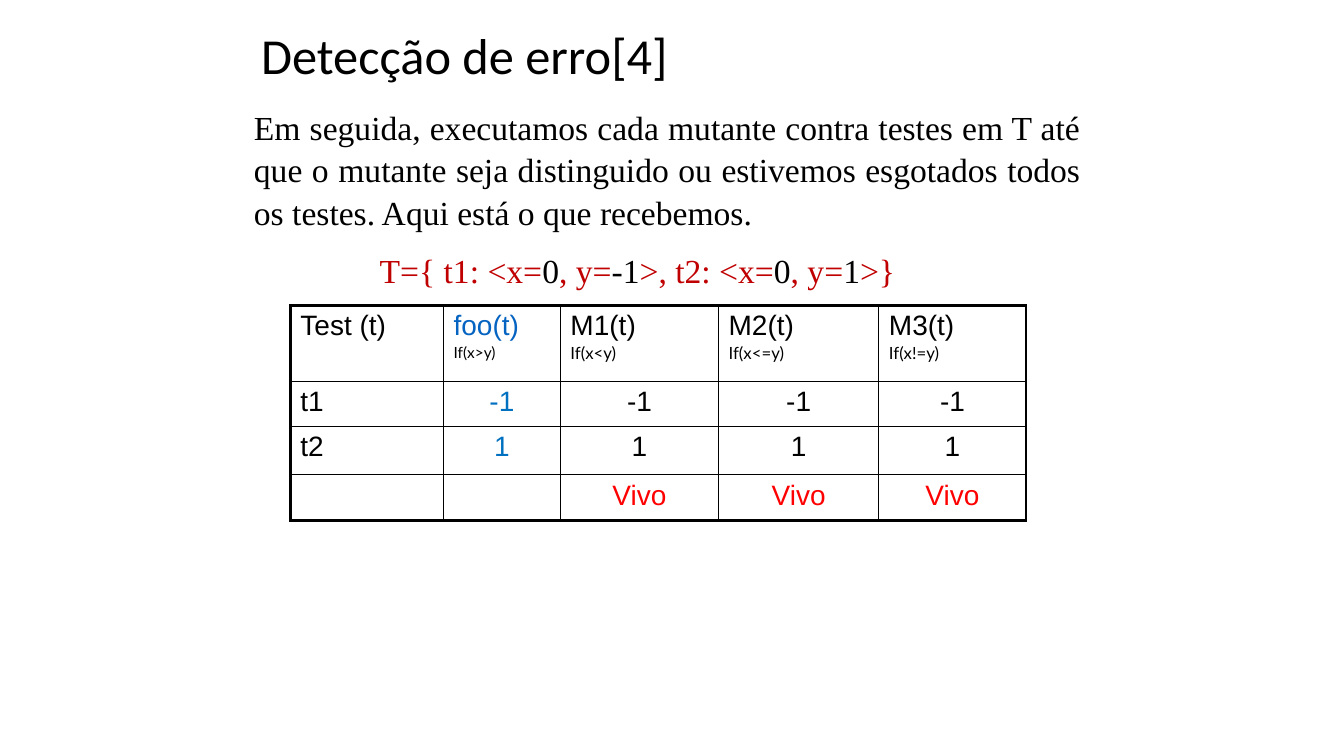
"""Build the error detection slide with its mutant results table."""
from itertools import cycle

from lxml import etree
from pptx import Presentation
from pptx.dml.color import RGBColor
from pptx.enum import text
from pptx.oxml.ns import qn
from pptx.util import Pt

TITLE = "Detecção de erro[4]"
INTRO = ("Em seguida, executamos cada mutante contra testes em T até que o mutante seja "
         "distinguido ou estivemos esgotados todos os testes. Aqui está o que recebemos.")
TEST_SET = ["T={ t1: <x=", "0", ", y=", "-1", ">, t2: <x=", "0", ", y=", "1", ">}"]
HEADERS = [("Test (t)", ""), ("foo(t)", "If(x>y)"), ("M1(t)", "If(x<y)"),
           ("M2(t)", "If(x<=y)"), ("M3(t)", "If(x!=y)")]
RESULTS = [["t1", "-1", "-1", "-1", "-1"],
           ["t2", "1", "1", "1", "1"],
           ["", "", "Vivo", "Vivo", "Vivo"]]

THEME = dict(
    black="000000", formula="C00000", foo_head="0563C1", foo="0070C0", alive="FF0000",
    title_font="Calibri", body_font="Times New Roman", cell_font="Arial", code_font="Lato",
    title=36, body=24, cell=20, code=12, foo_code=11, outer=2.25, inner=1)

TITLE_BOX = (179.3, 18, 613.4, 46.8)
INTRO_BOX = (174.2, 71.3, 604.8, 94.3)
TEST_SET_BOX = (264.2, 173.5, 385.9, 36)
TABLE_AT = (207.4, 218.2)
COLUMNS = [109.4, 83.5, 113, 114.5, 105.2]
ROWS = [54, 32.4, 34.6, 32.4]


def write(p, words, font="cell_font", size="cell", color="black", align=None,
          spacing=None, before=0):
    """Add one formatted run to a paragraph."""
    r = p.add_run()
    r.text = words
    r.font.name = THEME[font]
    r.font.size = Pt(THEME[size])
    r.font.color.rgb = RGBColor.from_string(THEME[color])
    p.alignment = align or text.PP_ALIGN.LEFT
    p.line_spacing = spacing
    p.space_before = Pt(before)


def place(sp, box):
    """Move and size a shape."""
    sp.left, sp.top, sp.width, sp.height = map(Pt, box)


def border(cell, row, col):
    """Draw the cell edges, thicker on the outside of the table."""
    edges = {"L": col == 0, "R": col == len(COLUMNS) - 1,
             "T": row == 0, "B": row == len(ROWS) - 1}
    pr = cell._tc.get_or_add_tcPr()
    for side, outside in edges.items():
        width = Pt(THEME["outer" if outside else "inner"])
        ln = etree.SubElement(pr, qn(f"a:ln{side}"), w=str(width))
        fill = etree.SubElement(ln, qn("a:solidFill"))
        etree.SubElement(fill, qn("a:srgbClr"), val=THEME["black"])


def add_table(slide):
    """Add the table of mutant results."""
    box = (*TABLE_AT, sum(COLUMNS), sum(ROWS))
    table = slide.shapes.add_table(len(ROWS), len(COLUMNS), *map(Pt, box)).table
    table.first_row = table.horz_banding = False
    for column, width in zip(table.columns, COLUMNS):
        column.width = Pt(width)
    for row, height in zip(table.rows, ROWS):
        row.height = Pt(height)
    for i, values in enumerate([HEADERS] + RESULTS):
        for j, value in enumerate(values):
            cell = table.cell(i, j)
            border(cell, i, j)
            cell.fill.background()
            tf = cell.text_frame
            p = tf.paragraphs[0]
            if i == 0:
                name, code = value
                write(p, name, color="foo_head" if j == 1 else "black")
                if code:
                    write(tf.add_paragraph(), code, font="code_font", before=1,
                          size="foo_code" if j == 1 else "code")
            elif value:
                color = "alive" if value == "Vivo" else "foo" if j == 1 else "black"
                write(p, value, color=color, align=text.PP_ALIGN.CENTER if j else None)


def main():
    """Build and save the slide."""
    prs = Presentation()
    prs.slide_width, prs.slide_height = Pt(960), Pt(540)
    slide = prs.slides.add_slide(prs.slide_layouts[1])
    title, intro = slide.placeholders

    place(title, TITLE_BOX)
    tf = title.text_frame
    tf.vertical_anchor = text.MSO_ANCHOR.MIDDLE
    tf.auto_size = text.MSO_AUTO_SIZE.NONE
    write(tf.paragraphs[0], TITLE, font="title_font", size="title", spacing=0.9)

    place(intro, INTRO_BOX)
    tf = intro.text_frame
    tf.auto_size = text.MSO_AUTO_SIZE.NONE
    p = tf.paragraphs[0]
    write(p, INTRO, font="body_font", size="body", align=text.PP_ALIGN.JUSTIFY, spacing=1.05)
    pr = p._p.get_or_add_pPr()
    pr.set("marL", "0")
    pr.set("indent", "0")
    etree.SubElement(pr, qn("a:buNone"))

    add_table(slide)

    tf = slide.shapes.add_textbox(*map(Pt, TEST_SET_BOX)).text_frame
    tf.word_wrap = False
    for part, color in zip(TEST_SET, cycle(["formula", "black"])):
        write(tf.paragraphs[0], part, font="body_font", size="body", color=color, spacing=1.05)

    prs.save("out.pptx")


if __name__ == "__main__":
    main()
